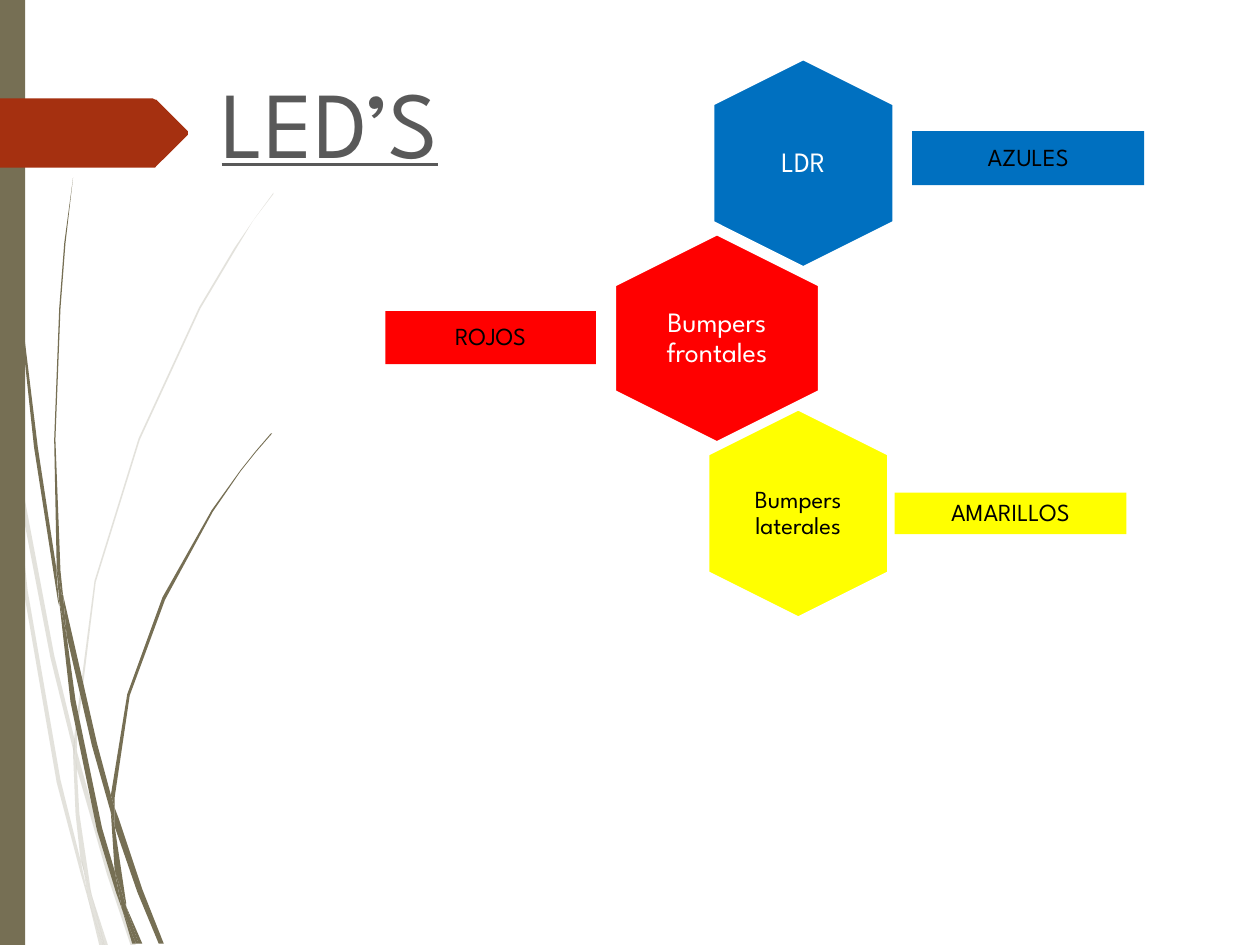
from lxml.etree import SubElement
from pptx import Presentation
from pptx.dml.color import RGBColor
from pptx.enum.shapes import MSO_SHAPE
from pptx.enum.text import MSO_ANCHOR, PP_ALIGN
from pptx.oxml.ns import qn
from pptx.util import Inches, Pt

OLIVE = RGBColor(0x76, 0x6F, 0x54)
RUST = RGBColor(0xA5, 0x30, 0x10)
GREY = RGBColor(0x59, 0x59, 0x59)
BLUE = RGBColor(0x00, 0x70, 0xC0)
RED = RGBColor(0xFF, 0x00, 0x00)
YELLOW = RGBColor(0xFF, 0xFF, 0x00)
WHITE = RGBColor(0xFF, 0xFF, 0xFF)
BLACK = RGBColor(0x00, 0x00, 0x00)
FONT = "League Spartan"

PALE_STRANDS = [
    "0.08,3.5 0.06,3.22 0,2.82 0,2.99 0.07,3.44",
    "0.4,5.22 0.59,5.99 0.59,5.86 0.43,5.2 0.1,3.45 0.12,3.76",
    "0.64,6.07 0.61,5.96 0.61,6.1 0.85,6.94 1.04,7.51 1.08,7.51 0.88,6.92",
    "0.83,7.51 0.86,7.51 0.73,7.11",
    "0.64,6.83 0.48,6.19 0.22,4.69 0.12,3.76 0.08,3.5 0.19,4.7 0.45,6.21 "
    "0.64,6.93 0.7,7.14 0.69,7.07",
    "0.58,5.99 0.6,6.46 0.64,6.83 0.67,6.92 0.73,7.11 0.72,7.06 0.63,6.46 "
    "0.61,6.1 0.61,6.08",
    "0.61,5.84 0.76,4.62 1.11,3.49 1.59,2.45 1.87,1.98 2.01,1.75 2.17,1.54 "
    "2.17,1.53 2.01,1.75 1.86,1.97 1.58,2.44 1.1,3.48 0.75,4.61 0.59,5.84 "
    "0.59,5.86 0.61,5.96",
    "0.7,7.14 0.79,7.51 0.82,7.51",
    "0.61,6.08 0.61,6.1 0.61,5.96 0.59,5.86 0.58,5.99",
    "0.67,6.92 0.65,6.83 0.69,7.07 0.7,7.14 0.82,7.51 0.83,7.51 0.73,7.11",
]
DARK_STRANDS = [
    "0.05,1.1 0.14,2.33 0.27,3.55 0.46,4.77 0.47,4.81 0.45,4.57 0.45,4.53 "
    "0.3,3.55 0.15,2.32 0.06,1.09 0.04,0.48 0.03,0 0.02,0 0.03,0.48",
    "0.73,5.92 0.88,6.45 0.88,6.33 0.88,6.31 0.77,5.9 0.5,4.72 0.53,5.05",
    "0.94,6.49 0.91,6.41 0.91,6.56 1.09,7.08 1.26,7.49 1.3,7.49 1.13,7.06",
    "0.91,6.91 0.81,6.57 0.6,5.56 0.53,5.05 0.47,4.77 0.56,5.57 0.77,6.59 "
    "0.92,7.08 0.97,7.22 0.96,7.17",
    "0.5,4.72 0.48,4.53 0.44,3.49 0.48,2.45 0.52,1.93 0.58,1.41 0.51,1.93 "
    "0.47,2.45 0.43,3.49 0.45,4.49 0.49,4.72",
    "1.1,7.49 1.13,7.49 1,7.19",
    "0.47,4.77 0.53,5.05 0.5,4.72 0.49,4.72 0.45,4.49 0.45,4.53",
    "0.91,6.33 1.03,5.52 1.31,4.76 1.69,4.06 1.91,3.74 2.03,3.59 2.16,3.44 "
    "2.15,3.44 2.03,3.58 1.91,3.73 1.68,4.05 1.29,4.74 1.01,5.51 0.88,6.31 "
    "0.91,6.41",
    "0.97,7.22 1.05,7.49 1.08,7.49",
    "0.88,6.45 0.91,6.91 0.96,7.06 1,7.19 1,7.16 0.91,6.56 0.9,6.51",
    "0.88,6.45 0.9,6.51 0.91,6.56 0.91,6.41 0.88,6.31 0.88,6.33",
    "0.96,7.06 0.91,6.91 0.96,7.17 0.97,7.22 1.08,7.49 1.1,7.49 1,7.19",
]
ARROW = ("1.49,1.07 1.24,1.32 1.23,1.33 1.21,1.33 0,1.33 0,0.78 1.21,0.78 "
         "1.23,0.79 1.24,0.79 1.49,1.04")


def paint(sp, color, alpha=None):
    """Give a shape a flat fill with no line or shadow."""
    sp.shadow.inherit = False
    sp.fill.solid()
    sp.fill.fore_color.rgb = color
    sp.line.fill.background()
    if alpha:
        clr = sp.fill._xPr.find(qn("a:solidFill"))[0]
        SubElement(clr, qn("a:alpha")).set("val", str(alpha * 1000))


def add_outline(shapes, points, color, alpha=None):
    """Draw a closed outline from a string of x,y pairs in inches."""
    pts = [tuple(Inches(float(v)) for v in pair.split(",")) for pair in points.split()]
    builder = shapes.build_freeform(*pts[0], scale=1.0)
    builder.add_line_segments(pts[1:], close=True)
    paint(builder.convert_to_shape(), color, alpha)


def write(sp, text, size, color, align=PP_ALIGN.CENTER, anchor=MSO_ANCHOR.MIDDLE,
          spacing=0.9, margin=0.06, underline=None):
    """Write one formatted paragraph into a shape."""
    tf = sp.text_frame
    tf.word_wrap = True
    tf.vertical_anchor = anchor
    if margin is not None:
        tf.margin_left = tf.margin_right = Inches(margin)
        tf.margin_top = tf.margin_bottom = Inches(margin)
    p = tf.paragraphs[0]
    p.alignment = align
    p.line_spacing = spacing
    r = p.add_run()
    r.text = text
    r.font.name = FONT
    r.font.size = Pt(size)
    r.font.color.rgb = color
    r.font.underline = underline


def add_decor(s, x, y, w, h):
    """Draw the grass strands, the side bar and the arrow tab."""
    for strands, alpha in ((PALE_STRANDS, 20), (DARK_STRANDS, None)):
        group = s.shapes.add_group_shape()
        for points in strands:
            add_outline(group.shapes, points, OLIVE, alpha)
    bar = s.shapes.add_shape(MSO_SHAPE.RECTANGLE, Inches(x), Inches(y), Inches(w), Inches(h))
    paint(bar, OLIVE)
    add_outline(s.shapes, ARROW, RUST)


def add_title(s, x, y, w, h):
    """Place the underlined title."""
    box = s.shapes.add_textbox(Inches(x), Inches(y), Inches(w), Inches(h))
    write(box, "LED’S", 54, GREY, align=PP_ALIGN.LEFT, anchor=MSO_ANCHOR.TOP,
          spacing=1.0, margin=None, underline=True)


def add_hexagon(s, x, y, w, h, text, size, fill, color):
    """Place an upright hexagon with its caption in the box given."""
    cx, cy = x + w / 2, y + h / 2
    sp = s.shapes.add_shape(MSO_SHAPE.HEXAGON, Inches(cx - h / 2), Inches(cy - w / 2),
                            Inches(h), Inches(w))
    sp.rotation = 90
    paint(sp, fill)
    sp.line.color.rgb = WHITE
    sp.line.width = Pt(1.25)
    tw, th = w * 0.68, h * 0.68
    box = s.shapes.add_textbox(Inches(cx - tw / 2), Inches(cy - th / 2), Inches(tw), Inches(th))
    write(box, text, size, color)


def add_label(s, x, y, w, h, text, fill):
    """Place a coloured bar that names the LED colour."""
    sp = s.shapes.add_shape(MSO_SHAPE.RECTANGLE, Inches(x), Inches(y), Inches(w), Inches(h))
    paint(sp, fill)
    write(sp, text, 14, BLACK)


def add_leds(s, y, h, pitch):
    """Stack the hexagons at an equal pitch, each with its label."""
    rows = [
        (5.66, 1.43, "LDR", 16, BLUE, WHITE, (7.24, 1.04, 1.84, 0.43), "AZULES"),
        (4.88, 1.62, "Bumpers frontales", 16, RED, WHITE, (3.06, 2.47, 1.67, 0.42), "ROJOS"),
        (5.62, 1.43, "Bumpers laterales", 14, YELLOW, BLACK, (7.1, 3.91, 1.84, 0.33), "AMARILLOS"),
    ]
    for i, (x, w, text, size, fill, color, label_box, label) in enumerate(rows):
        add_hexagon(s, x, y + i * pitch, w, h, text, size, fill, color)
        add_label(s, *label_box, label, fill)


def main():
    """Build the slide and save it."""
    prs = Presentation()
    prs.slide_width, prs.slide_height = Inches(10), Inches(7.5)
    s = prs.slides.add_slide(prs.slide_layouts[6])
    add_decor(s, 0, 0, 0.2, 7.5)
    add_title(s, 1.66, 0.46, 2.45, 1.25)
    add_leds(s, 0.47, 1.65, 1.39)
    prs.save("out.pptx")


if __name__ == "__main__":
    main()
